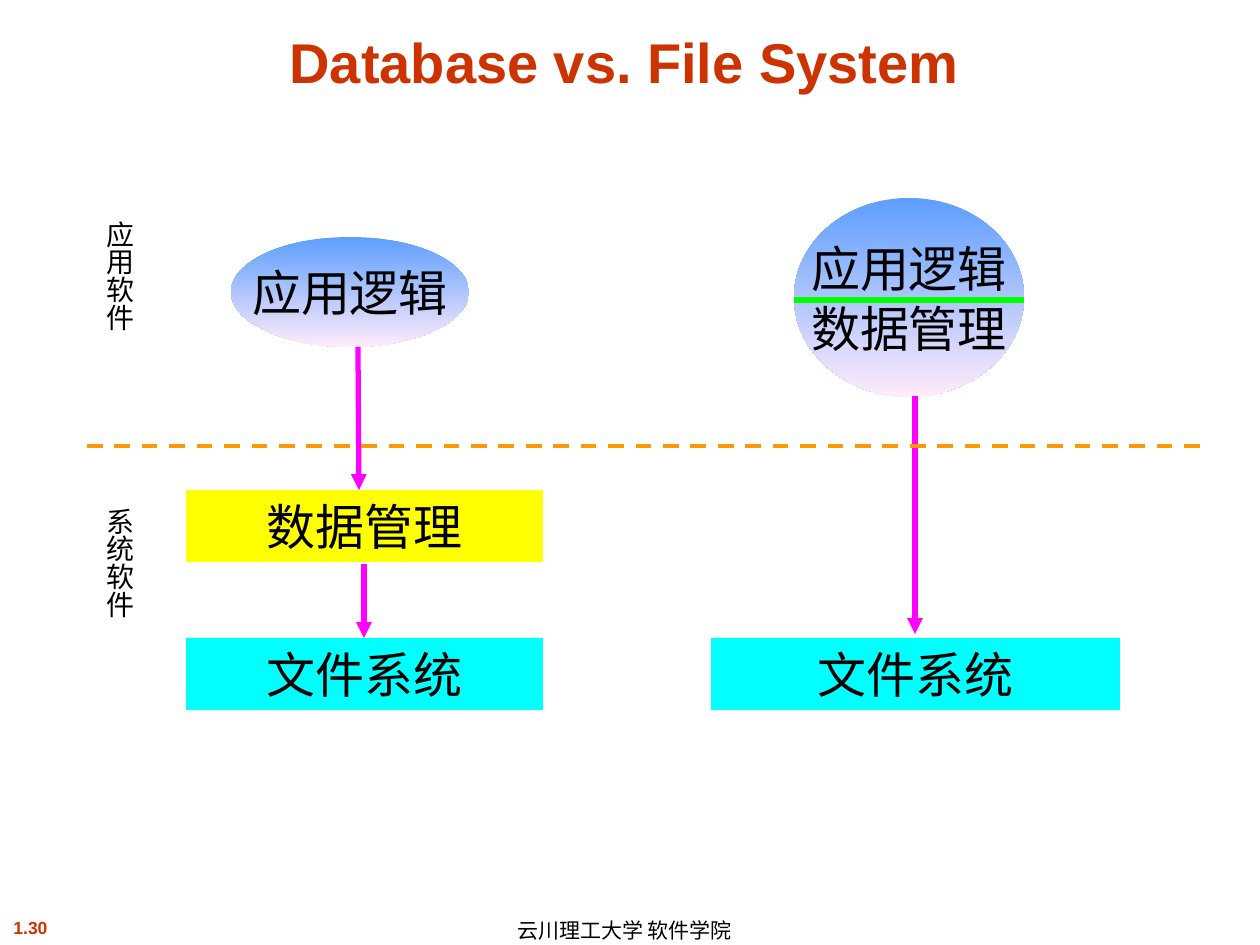
from lxml.etree import SubElement
from pptx import Presentation
from pptx.dml.color import RGBColor
from pptx.enum.dml import MSO_LINE
from pptx.enum.shapes import MSO_CONNECTOR, MSO_SHAPE
from pptx.enum.text import MSO_ANCHOR as Anchor, MSO_AUTO_SIZE, PP_ALIGN as Align
from pptx.oxml.ns import qn
from pptx.util import Emu, Pt

PX_PER_INCH = 126
CJK = "Noto Sans CJK SC"
RED, BLACK, MAGENTA, CYAN = "CC3300", "000000", "FF00FF", "00FFFF"
BOX_HEIGHT = 72


def px(length):
    return Emu(round(length * 914400 / PX_PER_INCH))


def color(hex_string):
    return RGBColor.from_string(hex_string)


def write(shape, text, size, font="Arial", hex_color=BLACK, bold=False,
          align=Align.CENTER, anchor=Anchor.MIDDLE, wrap=False, leading=None):
    """Set the text of a shape and format all its runs."""
    frame = shape.text_frame
    frame.text = text
    frame.word_wrap = wrap
    frame.auto_size = MSO_AUTO_SIZE.NONE
    frame.vertical_anchor = anchor
    for paragraph in frame.paragraphs:
        paragraph.alignment = align
        paragraph.line_spacing = leading
        for run in paragraph.runs:
            run.font.name = font
            run.font.size = Pt(size)
            run.font.bold = bold
            run.font.color.rgb = color(hex_color)
            if font == CJK:
                SubElement(run.font._element, qn("a:ea"), typeface=font)


def add_text(slide, left, top, width, height, text, size, **style):
    shape = slide.shapes.add_textbox(px(left), px(top), px(width), px(height))
    write(shape, text, size, **style)
    return shape


def add_node(slide, kind, left, top, width, height, text):
    shape = slide.shapes.add_shape(kind, px(left), px(top), px(width), px(height))
    shape.shadow.inherit = False
    shape.line.fill.background()
    frame = shape.text_frame
    frame.margin_left = frame.margin_right = 0
    frame.margin_top = frame.margin_bottom = 0
    write(shape, text, 28, font=CJK, leading=Pt(34))
    return shape


def add_box(slide, left, top, width, text, fill):
    shape = add_node(slide, MSO_SHAPE.RECTANGLE, left, top, width, BOX_HEIGHT, text)
    shape.fill.solid()
    shape.fill.fore_color.rgb = color(fill)


def add_ellipse(slide, left, top, width, height, text):
    shape = add_node(slide, MSO_SHAPE.OVAL, left, top, width, height, text)
    shape.fill.gradient()
    shape.fill.gradient_angle = 270
    for stop, position, shade in zip(shape.fill.gradient_stops, (0, 1), ("5E9EFF", "FFEBFA")):
        stop.position = position
        stop.color.rgb = color(shade)


def add_line(slide, start, end, hex_color, width=3, dashed=False, arrow=False):
    line = slide.shapes.add_connector(
        MSO_CONNECTOR.STRAIGHT, *(px(value) for value in (*start, *end)))
    line.line.color.rgb = color(hex_color)
    line.line.width = Pt(width)
    if dashed:
        line.line.dash_style = MSO_LINE.DASH
    properties = line._element.spPr
    if arrow:
        SubElement(properties.find(qn("a:ln")), qn("a:tailEnd"), type="triangle")
    SubElement(properties, qn("a:effectLst"))


def add_title(slide, left, top, width, height):
    title = slide.shapes.title
    title.left, title.top, title.width, title.height = map(px, (left, top, width, height))
    write(title, "Database vs. File System", 32, hex_color=RED, bold=True,
          anchor=Anchor.BOTTOM, wrap=True)


def add_footer(slide, top):
    add_text(slide, -31, top, 123, 34, "1.30", 10, hex_color=RED, bold=True,
             anchor=Anchor.TOP)
    add_text(slide, 505, top + 3, 282, 32, "云川理工大学 软件学院", 12,
             align=Align.LEFT)


def add_database_stack(slide, left, top):
    """Application logic above separate data management and file system."""
    add_ellipse(slide, left + 45, top, 238, 110, "应用逻辑")
    add_box(slide, left, top + 253, 357, "数据管理", "FFFF00")
    add_box(slide, left, top + 401, 357, "文件系统", CYAN)
    add_line(slide, (left + 172, top + 110), (left + 173, top + 253), MAGENTA, arrow=True)
    add_line(slide, (left + 178, top + 327), (left + 178, top + 401), MAGENTA, arrow=True)


def add_file_stack(slide, left, top):
    """Application that manages its own data, on top of the file system."""
    add_ellipse(slide, left + 83, top, 230, 199, "应用逻辑\n数据管理")
    add_box(slide, left, top + 440, 409, "文件系统", CYAN)
    add_line(slide, (left + 204, top + 198), (left + 204, top + 436), MAGENTA, arrow=True)
    add_line(slide, (left + 83, top + 102), (left + 313, top + 102), "00FF00")


def add_layers(slide, left, top):
    """Layer names on either side of the dashed boundary."""
    add_line(slide, (left + 4, top + 238), (left + 1120, top + 238), "FF9900",
             width=2.25, dashed=True)
    for offset, name in ((0, "应用软件"), (287, "系统软件")):
        label = add_text(slide, left, top + offset, 72, 189, name, 16, font=CJK, wrap=True)
        label.text_frame._txBody.bodyPr.set("vert", "eaVert")


def main():
    presentation = Presentation()
    presentation.slide_width = px(1260)
    presentation.slide_height = px(945)
    slide = presentation.slides.add_slide(presentation.slide_layouts[5])
    add_title(slide, 31, 16, 1187, 85)
    add_footer(slide, 911)
    add_database_stack(slide, 186, 237)
    add_file_stack(slide, 711, 198)
    add_layers(slide, 83, 208)
    presentation.save("out.pptx")


if __name__ == "__main__":
    main()
